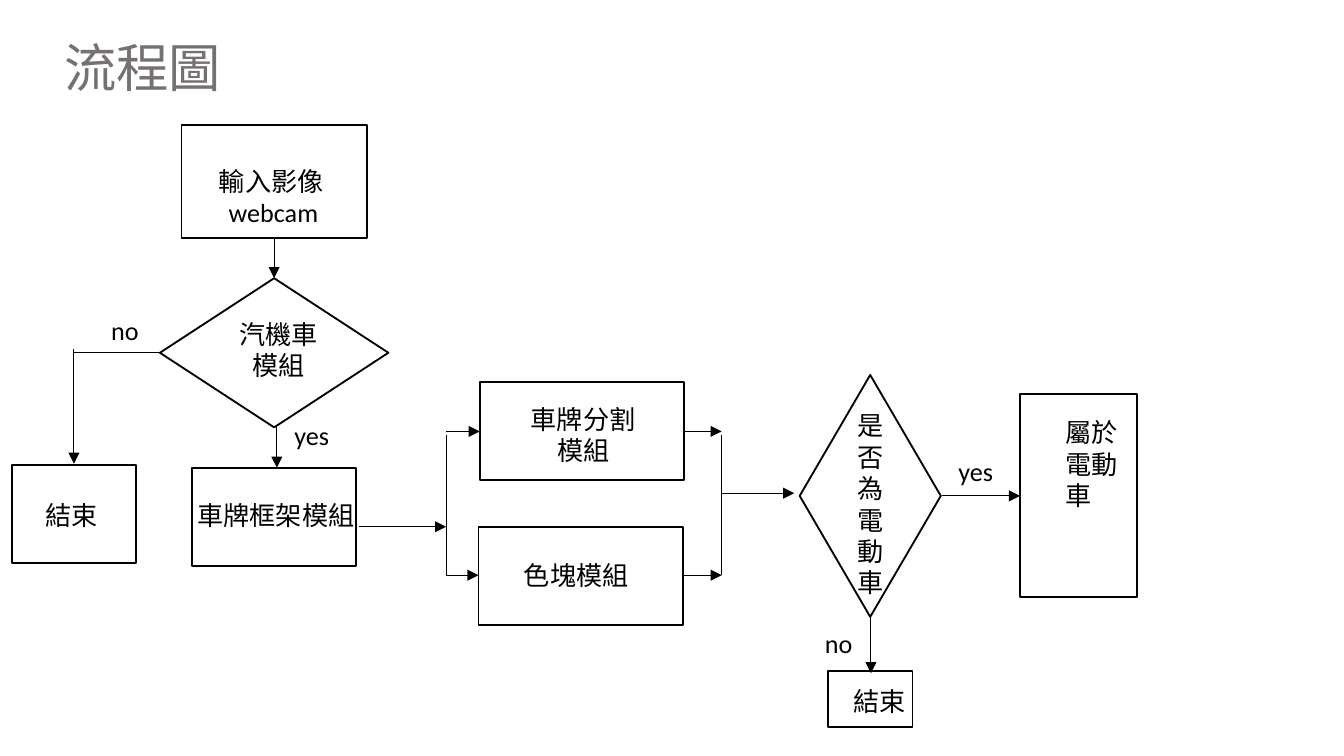
from dataclasses import dataclass

from lxml.etree import SubElement
from pptx import Presentation
from pptx.dml.color import RGBColor
from pptx.enum.shapes import MSO_CONNECTOR as Connector, MSO_SHAPE as Shape
from pptx.enum.text import MSO_ANCHOR as Anchor, MSO_AUTO_SIZE as AutoSize, PP_ALIGN as Align
from pptx.oxml.ns import qn
from pptx.util import Emu, Pt

EMU_PER_PX = 9144  # 100 px to the inch
SLIDE_WIDTH = Emu(1000 * EMU_PER_PX)
SLIDE_HEIGHT = Emu(SLIDE_WIDTH * 9 // 16)
TITLE_ONLY = 5


@dataclass(frozen=True)
class Theme:
    title_font: str = "Noto Sans CJK SC"
    body_font: str = "Calibri"
    title_color: RGBColor = RGBColor(0x76, 0x71, 0x71)
    ink: RGBColor = RGBColor(0, 0, 0)
    title_size: Pt = Pt(28)
    body_size: Pt = Pt(14)
    outline: Pt = Pt(1)
    arrow: Pt = Pt(0.5)


def px(*lengths):
    return [Emu(length * EMU_PER_PX) for length in lengths]


class FlowChart:
    def __init__(self, slide, theme):
        self.slide = slide
        self.theme = theme

    def title(self, text, *box):
        shape = self.slide.shapes.title
        shape.left, shape.top, shape.width, shape.height = px(*box)
        frame = shape.text_frame
        frame.text = text
        frame.word_wrap = True
        frame.auto_size = AutoSize.NONE
        frame.vertical_anchor = Anchor.TOP
        paragraph = frame.paragraphs[0]
        paragraph.alignment = Align.LEFT
        font = paragraph.runs[0].font
        font.name = self.theme.title_font
        font.size = self.theme.title_size
        font.color.rgb = self.theme.title_color
        east_asian = SubElement(paragraph.runs[0]._r.get_or_add_rPr(), qn("a:ea"))
        east_asian.set("typeface", self.theme.title_font)

    def node(self, *box, kind=Shape.RECTANGLE):
        shape = self.slide.shapes.add_shape(kind, *px(*box))
        shape.shadow.inherit = False
        shape.fill.background()
        shape.line.color.rgb = self.theme.ink
        shape.line.width = self.theme.outline

    def decision(self, *box):
        self.node(*box, kind=Shape.FLOWCHART_DECISION)

    def label(self, text, *box, align=Align.LEFT):
        frame = self.slide.shapes.add_textbox(*px(*box)).text_frame
        frame.word_wrap = True
        frame.text = text
        for paragraph in frame.paragraphs:
            paragraph.alignment = align
            font = paragraph.runs[0].font
            font.name = self.theme.body_font
            font.size = self.theme.body_size
            font.color.rgb = self.theme.ink
        return frame

    def line(self, *ends, arrow=False):
        connector = self.slide.shapes.add_connector(Connector.STRAIGHT, *px(*ends))
        connector.line.color.rgb = self.theme.ink
        connector.line.width = self.theme.arrow
        if arrow:
            SubElement(connector.line._get_or_add_ln(), qn("a:tailEnd")).set("type", "triangle")
        SubElement(connector._element.spPr, qn("a:effectLst"))

    def arrow(self, *ends):
        self.line(*ends, arrow=True)


def main():
    presentation = Presentation()
    presentation.slide_width = SLIDE_WIDTH
    presentation.slide_height = SLIDE_HEIGHT
    slide = presentation.slides.add_slide(presentation.slide_layouts[TITLE_ONLY])
    chart = FlowChart(slide, Theme())
    chart.title("流程圖", 38, 21, 142, 57)

    # Input and vehicle check
    chart.node(135, 93, 138, 84)
    webcam = chart.label("輸入影像\nwebcam", 153, 118, 101, 57)
    webcam.paragraphs[1].alignment = Align.CENTER
    chart.arrow(204, 177, 204, 207)
    chart.decision(119, 207, 170, 111)
    chart.label("汽機車\n模組", 159, 232, 97, 57, align=Align.CENTER)
    chart.line(119, 262, 55, 262)
    chart.arrow(55, 260, 55, 345)
    chart.node(9, 346, 92, 73)
    chart.label("結束", 24, 367, 77, 34)

    # Plate frame, then two parallel modules between brackets
    chart.arrow(206, 317, 206, 348)
    chart.node(143, 348, 122, 73)
    chart.label("車牌框架模組", 137, 367, 138, 34)
    chart.arrow(267, 392, 332, 392)
    split_x, join_x = 332, 537
    for x in (split_x, join_x):
        chart.line(x, 324, x, 428)
    for left, top, arrow_y in ((357, 284, 321), (356, 392, 428)):
        chart.node(left, top, 152, 73)
        chart.arrow(split_x, arrow_y, left, arrow_y)
        chart.arrow(left + 152, arrow_y, join_x, arrow_y)
    chart.label("車牌分割模組", 376, 295, 116, 57, align=Align.CENTER)
    chart.label("色塊模組", 380, 411, 116, 34)
    chart.arrow(join_x, 367, 591, 367)

    # Electric vehicle check
    chart.decision(595, 279, 105, 180)
    chart.label("是否為電動車", 628, 300, 34, 151)
    chart.arrow(701, 369, 759, 369)
    chart.node(759, 293, 87, 151)
    chart.label("屬於電動車", 783, 305, 59, 128)
    chart.arrow(648, 459, 648, 501)
    chart.node(616, 499, 63, 42)
    chart.label("結束", 625, 505, 63, 34)

    for answer, left, top in (("no", 55, 229), ("yes", 194, 307), ("no", 586, 462), ("yes", 688, 334)):
        chart.label(answer, left, top, 76, 34, align=Align.CENTER)

    presentation.save("out.pptx")


if __name__ == "__main__":
    main()
